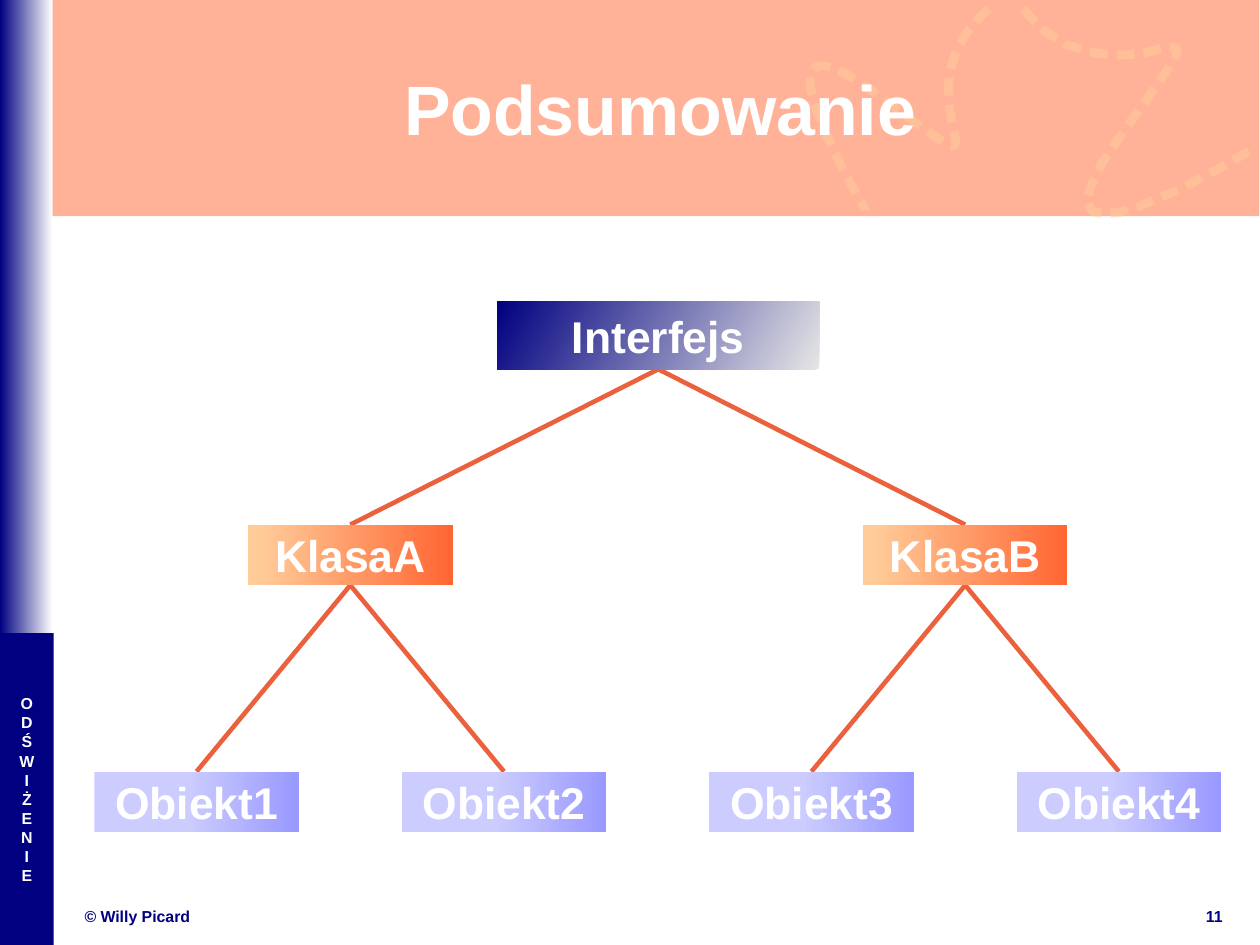
from dataclasses import dataclass

import pptx
import pptx.dml.color
import pptx.enum.shapes
import pptx.enum.text
import pptx.oxml
import pptx.oxml.ns
import pptx.util

Inches = pptx.util.Inches
ALIGN = pptx.enum.text.PP_ALIGN
Point = tuple[float, float]
NAVY, WHITE, ORANGE, PEACH, LINK = "000080", "FFFFFF", "FF6633", "FFCC99", "EB613D"


@dataclass(frozen=True)
class Gradient:
    stops: tuple[tuple[float, str], tuple[float, str]]
    angle: float = 0


@dataclass(frozen=True)
class Node:
    label: str
    center: float
    top: float
    width: float
    height: float
    gradient: Gradient
    children: tuple["Node", ...] = ()


def color(value: str) -> pptx.dml.color.RGBColor:
    return pptx.dml.color.RGBColor.from_string(value)


def add_xml(parent, tag: str, attributes: str = "", inner: str = "") -> None:
    namespace = pptx.oxml.ns.nsdecls("a")
    parent.append(pptx.oxml.parse_xml(f"<a:{tag} {namespace} {attributes}>{inner}</a:{tag}>"))


def make_half_transparent(fill_parent) -> None:
    for rgb in fill_parent.iter(pptx.oxml.ns.qn("a:srgbClr")):
        add_xml(rgb, "alpha", 'val="50000"')


def set_text(shape, text: str, size: float, text_color: str, align=ALIGN.CENTER):
    frame = shape.text_frame
    frame.text = text
    frame.word_wrap = True
    frame.auto_size = pptx.enum.text.MSO_AUTO_SIZE.NONE
    frame.vertical_anchor = pptx.enum.text.MSO_ANCHOR.MIDDLE
    frame.margin_left = frame.margin_right = frame.margin_top = frame.margin_bottom = 0
    for paragraph in frame.paragraphs:
        paragraph.alignment = align
        paragraph.font.name = "Arial"
        paragraph.font.size = pptx.util.Pt(size)
        paragraph.font.bold = True
        paragraph.font.color.rgb = color(text_color)
    return frame


def add_block(slide, left: float, top: float, width: float, height: float, paint: str | Gradient):
    block = slide.shapes.add_shape(
        pptx.enum.shapes.MSO_SHAPE.RECTANGLE,
        Inches(left), Inches(top), Inches(width), Inches(height))
    block.shadow.inherit = False
    block.line.fill.background()
    if isinstance(paint, str):
        block.fill.solid()
        block.fill.fore_color.rgb = color(paint)
    else:
        block.fill.gradient()
        block.fill.gradient_angle = paint.angle
        for stop, (position, stop_color) in zip(block.fill.gradient_stops, paint.stops):
            stop.position = position
            stop.color.rgb = color(stop_color)
    return block


def add_label(slide, text: str, left: float, top: float, width: float, height: float,
              text_color: str, align=ALIGN.CENTER):
    label = slide.shapes.add_textbox(Inches(left), Inches(top), Inches(width), Inches(height))
    return set_text(label, text, 10, text_color, align)


def bezier(start: Point, control1: Point, control2: Point, end: Point, steps: int = 30) -> list[Point]:
    curve = []
    for step in range(steps + 1):
        t = step / steps
        weights = ((1 - t) ** 3, 3 * t * (1 - t) ** 2, 3 * t * t * (1 - t), t ** 3)
        corners = (start, control1, control2, end)
        curve.append((sum(w * x for w, (x, _) in zip(weights, corners)),
                      sum(w * y for w, (_, y) in zip(weights, corners))))
    return curve


def add_trail(slide, points: list[Point]) -> None:
    first, *rest = [(Inches(x), Inches(y)) for x, y in points]
    builder = slide.shapes.build_freeform(*first)
    builder.add_line_segments(rest, close=False)
    trail = builder.convert_to_shape()
    trail.shadow.inherit = False
    trail.fill.background()
    trail.line.width = pptx.util.Pt(5.67)
    trail.line.color.rgb = color(PEACH)
    outline = trail.line._get_or_add_ln()
    make_half_transparent(outline)
    add_xml(outline, "custDash", inner='<a:ds d="200000" sp="100000"/>')


def add_links(slide, parent: Node) -> None:
    for child in parent.children:
        link = slide.shapes.add_connector(
            pptx.enum.shapes.MSO_CONNECTOR.STRAIGHT,
            Inches(parent.center), Inches(parent.top + parent.height),
            Inches(child.center), Inches(child.top))
        link.line.width = pptx.util.Pt(2.89)
        link.line.color.rgb = color(LINK)
        add_xml(link._element.spPr, "effectLst")
        add_links(slide, child)


def add_nodes(slide, node: Node) -> None:
    box = add_block(slide, node.center - node.width / 2, node.top,
                    node.width, node.height, node.gradient)
    set_text(box, node.label, 28, WHITE)
    for child in node.children:
        add_nodes(slide, child)


def build_hierarchy() -> Node:
    object_gradient = Gradient(((0.45, "CCCCFF"), (1, "9999FF")))
    class_gradient = Gradient(((0.05, PEACH), (1, ORANGE)))
    interface_gradient = Gradient(((0, "E6E6E6"), (1, NAVY)), 150)
    objects = [Node(f"Obiekt{i + 1}", 1.72 + 2.69 * i, 6.75, 1.79, 0.53, object_gradient)
               for i in range(4)]
    classes = []
    for name, pair in (("KlasaA", objects[:2]), ("KlasaB", objects[2:])):
        middle = (pair[0].center + pair[1].center) / 2
        classes.append(Node(name, middle, 4.59, 1.79, 0.53, class_gradient, tuple(pair)))
    return Node("Interfejs", 5.76, 2.64, 2.82, 0.59, interface_gradient, tuple(classes))


def main() -> None:
    presentation = pptx.Presentation()
    # 28 by 21 cm page, in whole 1/576 inch units
    presentation.slide_width = Inches(6350 / 576)
    presentation.slide_height = Inches(4762 / 576)
    slide = presentation.slides.add_slide(presentation.slide_layouts[5])

    # Banner and side bar
    banner = add_block(slide, 0, 0, 11.02, 1.89, ORANGE)
    make_half_transparent(banner._element.spPr)
    add_block(slide, 0, 0, 0.46, 5.72, Gradient(((0, NAVY), (1, WHITE))))
    add_block(slide, 0, 5.54, 0.47, 2.73, NAVY)

    # Dashed trails in the banner
    add_trail(slide, bezier((8.65, 0.08), (7.74, 0.86), (9.05, 1.85), (7.72, 0.86))
              + bezier((7.72, 0.86), (6.39, -0.14), (7.57, 1.83), (7.57, 1.83))[1:]
              + [(7.57, 1.84)])
    add_trail(slide, [
        (8.95, 0.08), (9.14, 0.27), (9.33, 0.39), (9.52, 0.45), (9.71, 0.48), (9.87, 0.48),
        (10.02, 0.46), (10.14, 0.43), (10.23, 0.41), (10.29, 0.42), (10.3, 0.45),
        (10.27, 0.53), (10.18, 0.66), (10.04, 0.86), (9.83, 1.15), (9.64, 1.43),
        (9.54, 1.64), (9.51, 1.77), (9.56, 1.85), (9.65, 1.87), (9.79, 1.86),
        (9.96, 1.81), (10.14, 1.73), (10.34, 1.65), (10.52, 1.55), (10.68, 1.47),
        (10.81, 1.39), (10.9, 1.34), (10.94, 1.32)])

    # Footer
    add_label(slide, "© Willy Picard", 0.74, 7.92, 4.47, 0.19, NAVY, ALIGN.LEFT)
    add_label(slide, "11", 10.46, 7.92, 0.33, 0.19, NAVY)

    # Title, brought in front of the banner
    title = slide.shapes.title
    title.left, title.top, title.width, title.height = map(Inches, (0.78, 0.25, 10, 1.38))
    set_text(title, "Podsumowanie", 44, WHITE)
    slide.shapes._spTree.append(title._element)

    # Interface, classes and objects
    interface = build_hierarchy()
    add_links(slide, interface)
    add_nodes(slide, interface)

    # Section name, one letter a line
    section = add_label(slide, "\n".join("ODŚWIŻENIE"), 0, 5.54, 0.47, 2.73, WHITE)
    for letter in section.paragraphs:
        letter.line_spacing = pptx.util.Pt(12)

    presentation.save("out.pptx")


if __name__ == "__main__":
    main()
